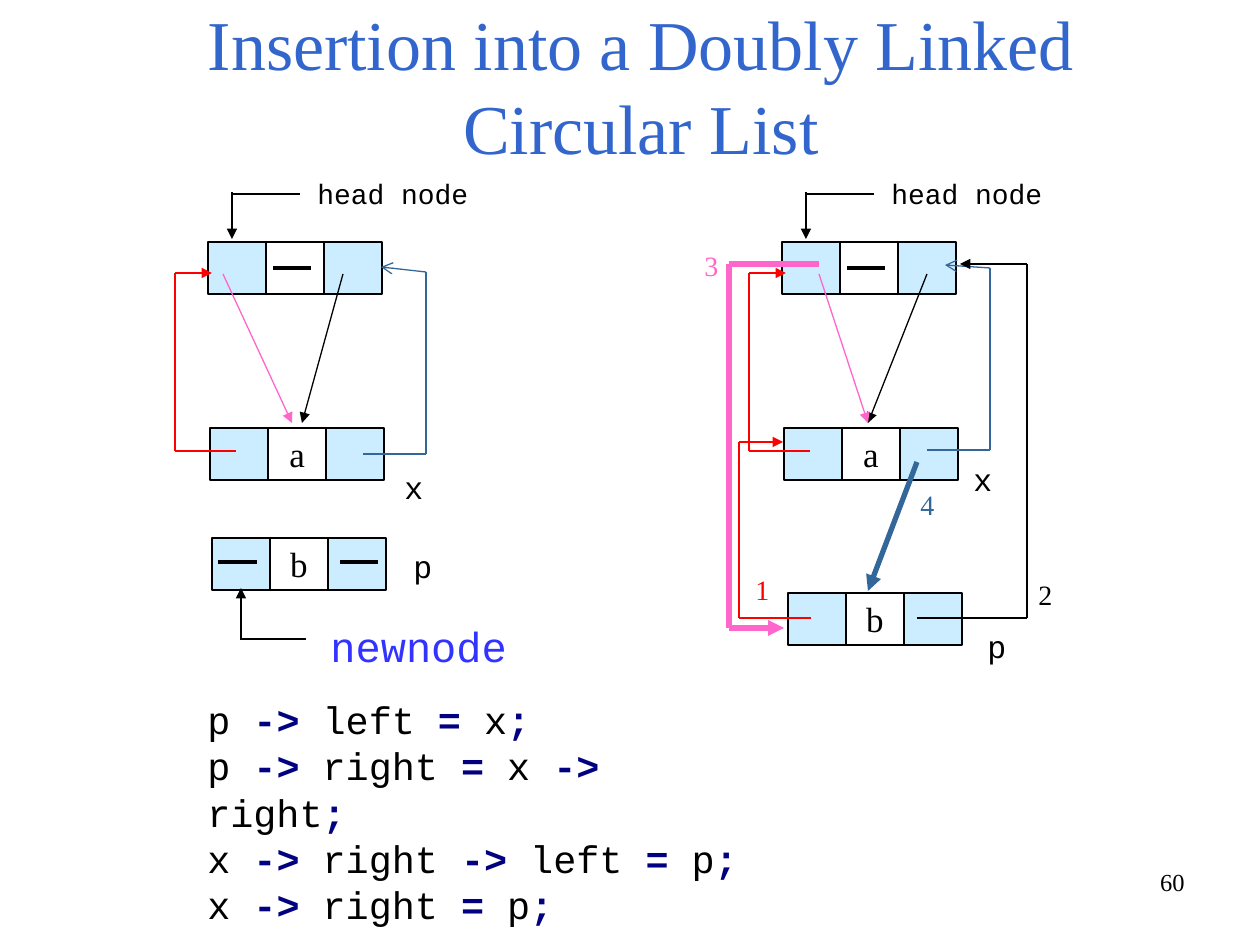
from dataclasses import dataclass

import lxml.etree
import pptx
import pptx.dml.color
import pptx.enum.shapes
import pptx.enum.text
import pptx.oxml.ns
import pptx.util

SCALE = 914400 / 126
WIDE, HIGH = 58, 52
SHIFT = 574
SERIF, MONO = "Times New Roman", "Courier New"
HUES = {
    "black": "000000", "title": "3366CC", "cell": "CCECFF", "new": "3333FF",
    "red": "FF0000", "blue": "336699", "pink": "FF66CC", "navy": "000080",
}
ALIGN = pptx.enum.text.PP_ALIGN
ANCHOR = pptx.enum.text.MSO_ANCHOR
qn = pptx.oxml.ns.qn


@dataclass
class Node:
    x: int
    y: int
    text: str = ""


@dataclass
class Route:
    points: list[tuple[int, int]]
    hue: str = "black"
    width: float = 0.75
    head: str = ""


@dataclass
class Label:
    text: str
    x: int
    y: int
    w: int
    h: int
    size: int
    font: str = MONO
    hue: str = "black"
    align: ALIGN = ALIGN.LEFT


NODES = [
    Node(208, 242), Node(208 + SHIFT, 242),
    Node(210, 428, "a"), Node(210 + SHIFT, 428, "a"),
    Node(212, 538, "b"), Node(788, 593, "b"),
]

ROUTES = [
    Route([(218, 562), (257, 562)], width=2.25),
    Route([(340, 562), (378, 562)], width=2.25),
    Route([(306, 639), (241, 639)]),
    Route([(241, 640), (241, 588)], head="triangle"),
    Route([(363, 454), (426, 454), (426, 272), (381, 267)], "blue", head="arrow"),
    Route([(927, 450), (990, 450), (990, 268), (945, 265)], "blue", head="arrow"),
    Route([(343, 274), (302, 423)], head="triangle"),
    Route([(223, 274), (292, 423)], "pink", head="triangle"),
    Route([(927, 274), (868, 423)], head="triangle"),
    Route([(819, 274), (868, 423)], "pink", head="triangle"),
    Route([(917, 462), (868, 591)], "blue", 3, "triangle"),
    Route([(811, 618), (739, 618), (739, 442), (783, 442)], "red", 1.5, "triangle"),
    Route([(917, 618), (1027, 618), (1027, 264), (960, 264)], "black", 1.5, "triangle"),
    Route([(819, 264), (729, 264), (729, 628), (784, 628)], "pink", 3, "triangle"),
]
for dx in (0, SHIFT):
    ROUTES += [
        Route([(273 + dx, 268), (311 + dx, 268)], width=2.25),
        Route([(232 + dx, 192), (232 + dx, 239)], head="triangle"),
        Route([(233 + dx, 194), (300 + dx, 194)]),
        Route([(236 + dx, 451), (175 + dx, 451), (175 + dx, 273), (212 + dx, 273)],
              "red", head="triangle"),
    ]

LABELS = [
    Label("head node", 305, 170, 197, 47, 16),
    Label("head node", 305 + SHIFT, 170, 197, 47, 16),
    Label("newnode", 318, 614, 223, 63, 24, hue="new"),
    Label("x", 392, 462, 44, 50, 18),
    Label("p", 401, 541, 44, 50, 18),
    Label("x", 961, 454, 44, 50, 18),
    Label("p", 975, 621, 44, 50, 18),
    Label("1", 743, 566, 26, 47, 16, SERIF, "red"),
    Label("2", 1026, 571, 26, 47, 16, SERIF),
    Label("3", 692, 242, 26, 47, 16, SERIF, "pink"),
    Label("4", 908, 481, 26, 47, 16, SERIF, "blue"),
    Label("60", 903, 861, 294, 66, 14, SERIF, align=ALIGN.RIGHT),
]

CODE = [
    ("p ", "->", " left ", "=", " x", ";"),
    ("p ", "->", " right ", "=", " x ", "->", " right", ";"),
    ("x ", "->", " right ", "->", " left ", "=", " p", ";"),
    ("x ", "->", " right ", "=", " p", ";"),
]


def px(*sizes: int) -> list[pptx.util.Emu]:
    return [pptx.util.Emu(round(size * SCALE)) for size in sizes]


def tint(hue: str) -> pptx.dml.color.RGBColor:
    return pptx.dml.color.RGBColor.from_string(HUES[hue])


def add_run(para, text: str, size: int, font: str, hue: str, bold: bool = False) -> None:
    run = para.add_run()
    run.text = text
    run.font.size = pptx.util.Pt(size)
    run.font.name = font
    run.font.bold = bold
    run.font.color.rgb = tint(hue)


def draw_node(shapes, node: Node) -> None:
    for i in range(3):
        cell = shapes.add_shape(pptx.enum.shapes.MSO_SHAPE.RECTANGLE,
                                *px(node.x + i * WIDE, node.y, WIDE, HIGH))
        cell.shadow.inherit = False
        cell.line.color.rgb = tint("black")
        cell.line.width = pptx.util.Pt(0.75)
        if i != 1:
            cell.fill.solid()
            cell.fill.fore_color.rgb = tint("cell")
            continue
        cell.fill.background()
        if node.text:
            frame = cell.text_frame
            frame.word_wrap = False
            frame.vertical_anchor = ANCHOR.MIDDLE
            para = frame.paragraphs[0]
            para.alignment = ALIGN.CENTER
            add_run(para, node.text, 20, SERIF, "black")


def draw_route(shapes, route: Route) -> None:
    for start, end in zip(route.points, route.points[1:]):
        line = shapes.add_connector(pptx.enum.shapes.MSO_CONNECTOR.STRAIGHT,
                                    *px(*start, *end))
        line.line.color.rgb = tint(route.hue)
        line.line.width = pptx.util.Pt(route.width)
        props = line.element.spPr
        if route.head and end == route.points[-1]:
            lxml.etree.SubElement(props.find(qn("a:ln")), qn("a:tailEnd"), type=route.head)
        lxml.etree.SubElement(props, qn("a:effectLst"))


def draw_label(shapes, label: Label) -> None:
    box = shapes.add_textbox(*px(label.x, label.y, label.w, label.h))
    box.text_frame.word_wrap = True
    para = box.text_frame.paragraphs[0]
    para.alignment = label.align
    add_run(para, label.text, label.size, label.font, label.hue)


def draw_code(shapes) -> None:
    frame = shapes.add_textbox(*px(195, 690, 578, 198)).text_frame
    frame.word_wrap = True
    for i, parts in enumerate(CODE):
        para = frame.add_paragraph() if i else frame.paragraphs[0]
        for j, part in enumerate(parts):
            sign = j % 2 == 1
            add_run(para, part, 22, MONO, "navy" if sign else "black", sign)


def draw_title(title) -> None:
    title.left, title.top, title.width, title.height = px(94, 64, 1094, 111)
    frame = title.text_frame
    frame.word_wrap = True
    frame.auto_size = pptx.enum.text.MSO_AUTO_SIZE.NONE
    frame.vertical_anchor = ANCHOR.BOTTOM
    para = frame.paragraphs[0]
    para.alignment = ALIGN.CENTER
    add_run(para, "Insertion into a Doubly Linked Circular List", 40, SERIF, "title")


def main() -> None:
    deck = pptx.Presentation()
    deck.slide_width, deck.slide_height = px(1260, 945)
    slide = deck.slides.add_slide(deck.slide_layouts[5])
    draw_title(slide.shapes.title)
    for node in NODES:
        draw_node(slide.shapes, node)
    for route in ROUTES:
        draw_route(slide.shapes, route)
    for label in LABELS:
        draw_label(slide.shapes, label)
    draw_code(slide.shapes)
    deck.save("out.pptx")


if __name__ == "__main__":
    main()
